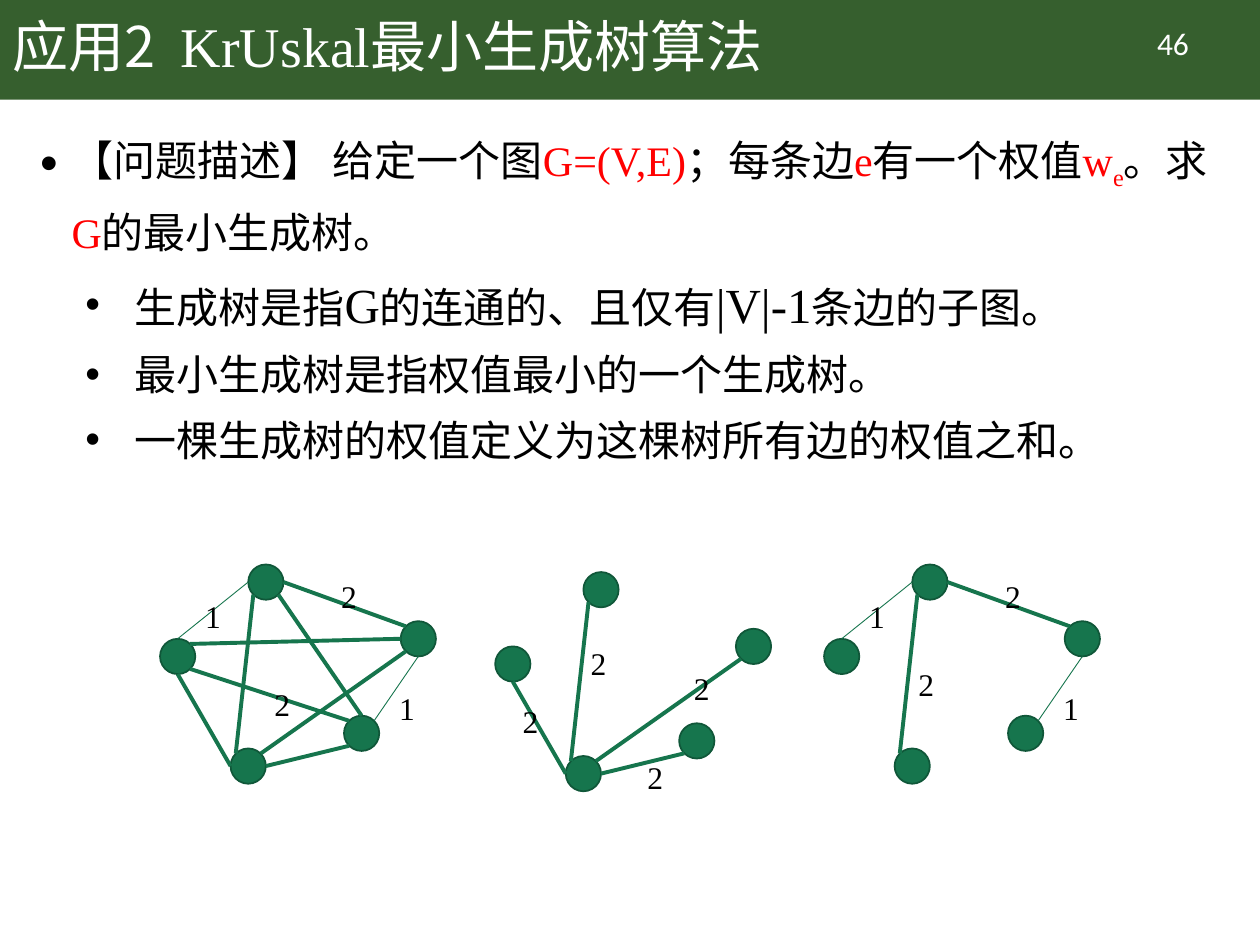
from math import cos, radians, sin
from typing import NamedTuple

from lxml.etree import SubElement
from pptx import Presentation
from pptx.dml.color import RGBColor
from pptx.enum.shapes import MSO_CONNECTOR, MSO_SHAPE
from pptx.enum.text import MSO_ANCHOR, MSO_AUTO_SIZE, PP_ALIGN
from pptx.oxml.ns import qn
from pptx.util import Inches, Pt

BANNER_GREEN = RGBColor(0x36, 0x5F, 0x2E)
NODE_GREEN = RGBColor(0x16, 0x75, 0x4D)
OUTLINE_GREEN = RGBColor(0x10, 0x57, 0x39)
WHITE = RGBColor(0xFF, 0xFF, 0xFF)
BLACK = RGBColor(0, 0, 0)
RED = RGBColor(0xFF, 0, 0)
CHINESE_FONT = "Noto Sans CJK SC"
LATIN_FONT = "Times New Roman"


class Run(NamedTuple):
    text: str
    font: str = CHINESE_FONT
    size: int = 24
    color: RGBColor = BLACK
    subscript: bool = False


class Bullet(NamedTuple):
    runs: list[Run]
    margin: float = 0.75
    size_percent: int = 100
    level: int = 1


class Edge(NamedTuple):
    start: str
    start_angle: int
    end: str
    end_angle: int
    width: float = 2.25


class Label(NamedTuple):
    text: str
    left: float
    top: float


class Graph(NamedTuple):
    shift_x: float
    shift_y: float
    edges: list[Edge]
    labels: list[Label]


def red(text: str, subscript: bool = False) -> Run:
    return Run(text, LATIN_FONT, color=RED, subscript=subscript)


# Slide text
TITLE = [
    Run("应用2  ", size=32, color=WHITE),
    Run("KrUskal", LATIN_FONT, 32, WHITE),
    Run("最小生成树算法", size=32, color=WHITE),
]
BULLETS = [
    Bullet([Run("【问题描述】 给定一个图"), red("G=(V,E)"), Run("；每条边"), red("e"),
            Run("有一个权值"), red("w"), red("e", True), Run("。求"), red("G"),
            Run("的最小生成树。")], margin=0.25, size_percent=120, level=0),
    Bullet([Run("生成树是指"), Run("G", LATIN_FONT, 28), Run("的连通的、且仅有"),
            Run("|V|-1", LATIN_FONT, 28), Run("条边的子图。")]),
    Bullet([Run("最小生成树是指权值最小的一个生成树。")]),
    Bullet([Run("一棵生成树的权值定义为这棵树所有边的权值之和。")]),
]

# Node centres of the full graph; edges leave a node at a clockwise angle from the right
NODE_SIZE = 0.28
NODES = {"A": (2.11, 4.62), "B": (1.41, 5.21), "C": (1.97, 6.08),
         "D": (2.87, 5.82), "E": (3.32, 5.07)}
CA = Edge("C", 225, "A", 135)
CE = Edge("C", 315, "E", 135)
BA = Edge("B", 270, "A", 180, 0.5)
AE = Edge("A", 0, "E", 225)
ED = Edge("E", 90, "D", 315, 0.5)
DC = Edge("D", 135, "C", 0)
CB = Edge("C", 180, "B", 90)
OTHER_EDGES = [Edge("B", 315, "E", 180), Edge("B", 45, "D", 225), Edge("D", 270, "A", 45)]
OUTER_LABELS = [Label("1", 1.53, 4.69), Label("2", 2.61, 4.53), Label("1", 3.07, 5.42)]
GRAPHS = [
    Graph(0, 0, [*OTHER_EDGES, CA, CE, BA, AE, ED, DC, CB],
          [*OUTER_LABELS, Label("2", 2.08, 5.39)]),
    Graph(5.27, 0, [CA, BA, AE, ED], [*OUTER_LABELS, Label("2", 1.92, 5.23)]),
    Graph(2.66, 0.06, [CA, CE, DC, CB],
          [Label("2", 1.39, 5.46), Label("2", 1.93, 5), Label("2", 2.75, 5.2),
           Label("2", 2.38, 5.91)]),
]


def add_runs(paragraph, runs: list[Run]) -> None:
    for item in runs:
        run = paragraph.add_run()
        run.text = item.text
        for name, value in {"name": item.font, "size": Pt(item.size)}.items():
            setattr(run.font, name, value)
        run.font.color.rgb = item.color
        properties = run._r.get_or_add_rPr()
        SubElement(properties, qn("a:ea"), typeface=item.font)
        if item.subscript:
            properties.set("baseline", "-25000")


def add_text(shapes, left: float, top: float, width: float, height: float,
             runs: list[Run], wrap: bool = True):
    box = shapes.add_textbox(Inches(left), Inches(top), Inches(width), Inches(height))
    box.text_frame.word_wrap = wrap
    add_runs(box.text_frame.paragraphs[0], runs)
    return box.text_frame


def add_bullet(paragraph, bullet: Bullet) -> None:
    paragraph.level = bullet.level
    paragraph.line_spacing = 1.3
    properties = paragraph._p.get_or_add_pPr()
    properties.set("marL", str(Inches(bullet.margin)))
    properties.set("indent", str(Inches(-0.39)))
    color = SubElement(properties, qn("a:buClr"))
    SubElement(color, qn("a:srgbClr"), val=str(BLACK))
    SubElement(properties, qn("a:buSzPct"), val=str(bullet.size_percent * 1000))
    SubElement(properties, qn("a:buFont"), typeface="Arial")
    SubElement(properties, qn("a:buChar"), char="•")
    add_runs(paragraph, bullet.runs)


def add_filled(shapes, kind: MSO_SHAPE, left: float, top: float, width: float,
               height: float, color: RGBColor):
    shape = shapes.add_shape(kind, Inches(left), Inches(top), Inches(width), Inches(height))
    shape.shadow.inherit = False
    shape.fill.solid()
    shape.fill.fore_color.rgb = color
    shape.line.fill.background()
    return shape


def edge_point(graph: Graph, node: str, angle: int) -> tuple[int, int]:
    x, y = NODES[node]
    radius = NODE_SIZE / 2
    return (Inches(x + graph.shift_x + radius * cos(radians(angle))),
            Inches(y + graph.shift_y + radius * sin(radians(angle))))


def add_graph(slide, graph: Graph) -> None:
    shapes = slide.shapes.add_group_shape().shapes
    for x, y in NODES.values():
        node = add_filled(shapes, MSO_SHAPE.OVAL, x + graph.shift_x - NODE_SIZE / 2,
                          y + graph.shift_y - NODE_SIZE / 2, NODE_SIZE, NODE_SIZE, NODE_GREEN)
        node.line.color.rgb = OUTLINE_GREEN
        node.line.width = Pt(1)
    for edge in graph.edges:
        line = shapes.add_connector(MSO_CONNECTOR.STRAIGHT,
                                    *edge_point(graph, edge.start, edge.start_angle),
                                    *edge_point(graph, edge.end, edge.end_angle))
        line.line.color.rgb = NODE_GREEN
        line.line.width = Pt(edge.width)
        SubElement(line._element.spPr, qn("a:effectLst"))
    for label in graph.labels:
        frame = add_text(shapes, label.left + graph.shift_x, label.top + graph.shift_y,
                         0.27, 0.33, [Run(label.text, LATIN_FONT, 18)], wrap=False)
        frame.auto_size = MSO_AUTO_SIZE.SHAPE_TO_FIT_TEXT


def main() -> None:
    presentation = Presentation()
    presentation.slide_width, presentation.slide_height = Inches(10), Inches(7.5)
    slide = presentation.slides.add_slide(presentation.slide_layouts[6])

    # Banner and title
    add_filled(slide.shapes, MSO_SHAPE.RECTANGLE, 0, 0, 10, 0.79, BANNER_GREEN)
    title = add_text(slide.shapes, 0, 0, 8.62, 0.79, TITLE)
    title.vertical_anchor = MSO_ANCHOR.MIDDLE
    title.paragraphs[0].line_spacing = 0.9

    # Problem description
    body = add_text(slide.shapes, 0.22, 0.88, 9.57, 6.47, [])
    for index, bullet in enumerate(BULLETS):
        add_bullet(body.add_paragraph() if index else body.paragraphs[0], bullet)

    # Full graph and two of its spanning trees
    for graph in GRAPHS:
        add_graph(slide, graph)

    # Slide number
    number = add_text(slide.shapes, 8.71, 0.14, 1.2, 0.4, [Run("46", "Calibri", 18, WHITE)])
    number.paragraphs[0].alignment = PP_ALIGN.CENTER

    presentation.save("out.pptx")


if __name__ == "__main__":
    main()
